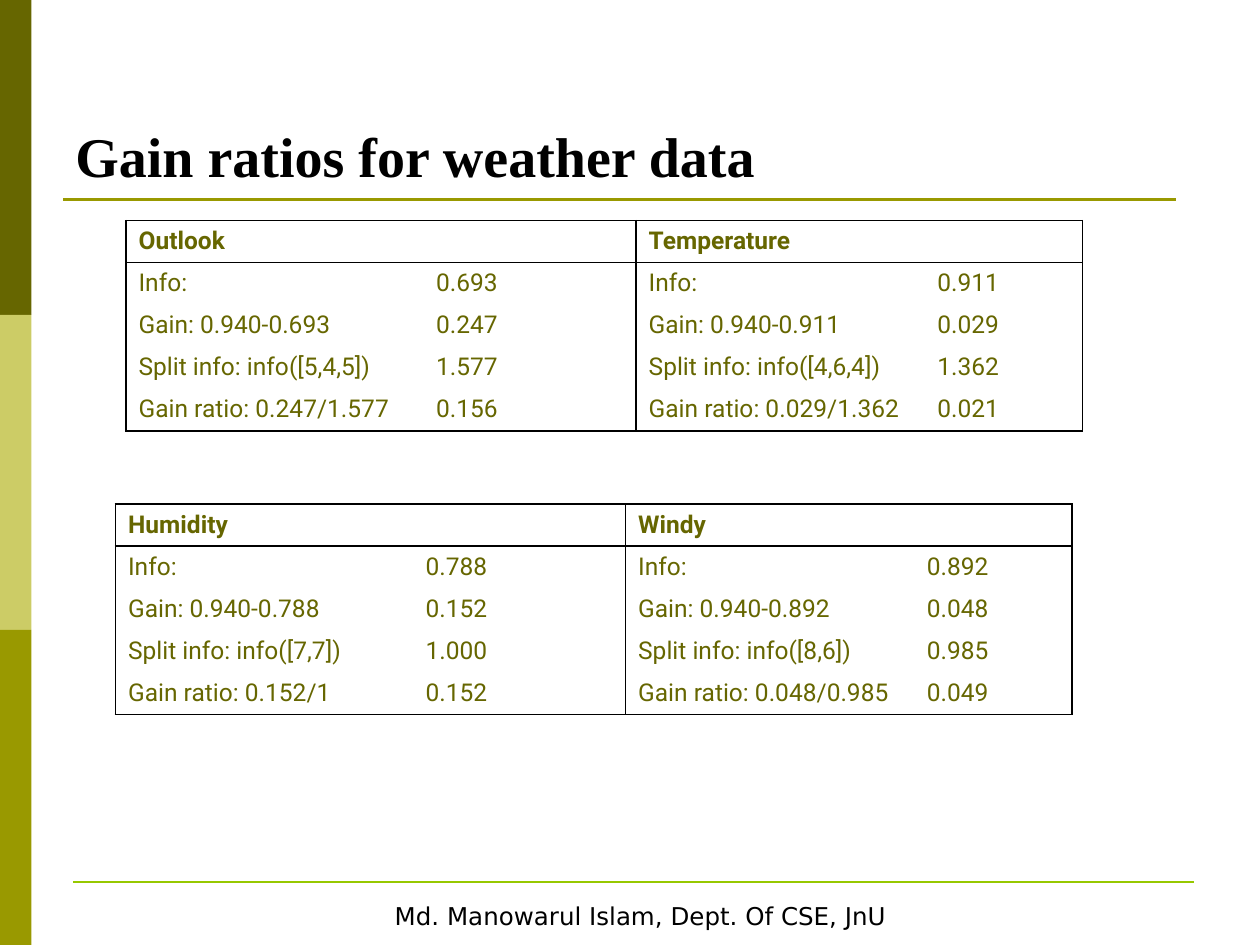
from dataclasses import dataclass

from lxml import etree
from pptx import Presentation
from pptx import util as u
from pptx.dml.color import RGBColor
from pptx.enum import shapes, text
from pptx.oxml import ns

Pt = u.Pt
BLACK, WHITE, OLIVE = "000000", "FFFFFF", "666600"
COLUMN_WIDTHS = (170, 121.5, 165, 90)
ROW_HEIGHT = 24
ROW_LABELS = ("Info:", "Gain: ", "Split info: ", "Gain ratio: ")


@dataclass(frozen=True)
class Attribute:
    name: str
    details: tuple[str, ...]
    values: tuple[str, ...]


@dataclass(frozen=True)
class GainTable:
    left: float
    top: float
    attributes: tuple[Attribute, Attribute]


@dataclass(frozen=True)
class Rule:
    left: float
    right: float
    y: float
    color: str


GAIN_TABLES = (
    GainTable(72, 126, (
        Attribute("Outlook", ("", "0.940-0.693", "info([5,4,5])", "0.247/1.577"),
                  ("0.693", "0.247", "1.577", "0.156")),
        Attribute("Temperature", ("", "0.940-0.911", "info([4,6,4])", "0.029/1.362"),
                  ("0.911", "0.029", "1.362", "0.021")),
    )),
    GainTable(66, 288, (
        Attribute("Humidity", ("", "0.940-0.788", "info([7,7])", "0.152/1"),
                  ("0.788", "0.152", "1.000", "0.152")),
        Attribute("Windy", ("", "0.940-0.892", "info([8,6])", "0.048/0.985"),
                  ("0.892", "0.048", "0.985", "0.049")),
    )),
)
RULES = (Rule(36, 672, 114, "999900"), Rule(42, 682.5, 504, "96C800"))
SIDE_BAND_COLORS = (OLIVE, "CCCC66", "999900")


def rgb(color: str) -> RGBColor:
    return RGBColor.from_string(color)


def write(frame, content: str, *, size: float, font: str, color: str,
          bold: bool = False, align=text.PP_ALIGN.LEFT) -> None:
    paragraph = frame.paragraphs[0]
    paragraph.alignment = align
    run = paragraph.add_run()
    run.text = content
    run.font.size = Pt(size)
    run.font.name = font
    run.font.bold = bold
    run.font.color.rgb = rgb(color)


def add_rectangle(slide, left: float, top: float, width: float, height: float, color: str):
    shape = slide.shapes.add_shape(
        shapes.MSO_SHAPE.RECTANGLE, Pt(left), Pt(top), Pt(width), Pt(height))
    shape.shadow.inherit = False
    shape.fill.solid()
    shape.fill.fore_color.rgb = rgb(color)
    shape.line.fill.background()
    return shape


def add_rule(slide, rule: Rule) -> None:
    connector = slide.shapes.add_connector(
        shapes.MSO_CONNECTOR.STRAIGHT, Pt(rule.left), Pt(rule.y), Pt(rule.right), Pt(rule.y))
    connector.line.color.rgb = rgb(rule.color)
    connector.line.width = Pt(1.5)
    etree.SubElement(connector._element.spPr, ns.qn("a:effectLst"))


def set_borders(cell, sides: str) -> None:
    properties = cell._tc.get_or_add_tcPr()
    for side in "LRTB":
        border = etree.SubElement(properties, ns.qn(f"a:ln{side}"), w=str(Pt(1)))
        if side in sides:
            fill = etree.SubElement(border, ns.qn("a:solidFill"))
            etree.SubElement(fill, ns.qn("a:srgbClr"), val=BLACK)
        else:
            etree.SubElement(border, ns.qn("a:noFill"))


def add_gain_table(slide, gain_table: GainTable) -> None:
    row_count = len(ROW_LABELS) + 1
    table = slide.shapes.add_table(
        row_count, len(COLUMN_WIDTHS), Pt(gain_table.left), Pt(gain_table.top),
        Pt(sum(COLUMN_WIDTHS)), Pt(row_count * ROW_HEIGHT)).table
    table.first_row = table.horz_banding = False
    for column, width in zip(table.columns, COLUMN_WIDTHS):
        column.width = Pt(width)
    for row_index, row in enumerate(table.rows):
        row.height = Pt(ROW_HEIGHT)
        for column_index, cell in enumerate(row.cells):
            sides = "R" if column_index % 2 else "L"
            if row_index == 0:
                sides = "LRTB"
            elif row_index == 1:
                sides += "T"
            elif row_index == row_count - 1:
                sides += "B"
            set_borders(cell, sides)
            cell.fill.background()
    for index, attribute in enumerate(gain_table.attributes):
        first = 2 * index
        header = table.cell(0, first)
        header.merge(table.cell(0, first + 1))
        write(header.text_frame, attribute.name, size=14, font="Roboto", color=OLIVE, bold=True)
        entries = zip(ROW_LABELS, attribute.details, attribute.values)
        for row_index, (label, detail, value) in enumerate(entries, start=1):
            for offset, content in enumerate((label + detail, value)):
                write(table.cell(row_index, first + offset).text_frame, content,
                      size=14, font="Roboto", color=OLIVE)


def main() -> None:
    presentation = Presentation()
    presentation.slide_width, presentation.slide_height = Pt(720), Pt(540)
    slide = presentation.slides.add_slide(presentation.slide_layouts[6])

    for index, color in enumerate(SIDE_BAND_COLORS):
        add_rectangle(slide, 0, index * 180, 18, 180, color)
    for rule in RULES:
        add_rule(slide, rule)

    footer = add_rectangle(slide, 36, 511, 660, 25, WHITE)
    footer.text_frame.word_wrap = False
    footer.text_frame.vertical_anchor = text.MSO_ANCHOR.MIDDLE
    write(footer.text_frame, "Md. Manowarul Islam, Dept. Of CSE, JnU", size=14,
          font="DejaVu Sans", color=BLACK, align=text.PP_ALIGN.CENTER)

    title = slide.shapes.add_textbox(Pt(36), Pt(21.6), Pt(648), Pt(90))
    title.text_frame.word_wrap = True
    title.text_frame.vertical_anchor = text.MSO_ANCHOR.BOTTOM
    write(title.text_frame, "Gain ratios for weather data", size=32,
          font="Times New Roman", color=BLACK, bold=True)

    for gain_table in GAIN_TABLES:
        add_gain_table(slide, gain_table)

    presentation.save("out.pptx")


if __name__ == "__main__":
    main()
